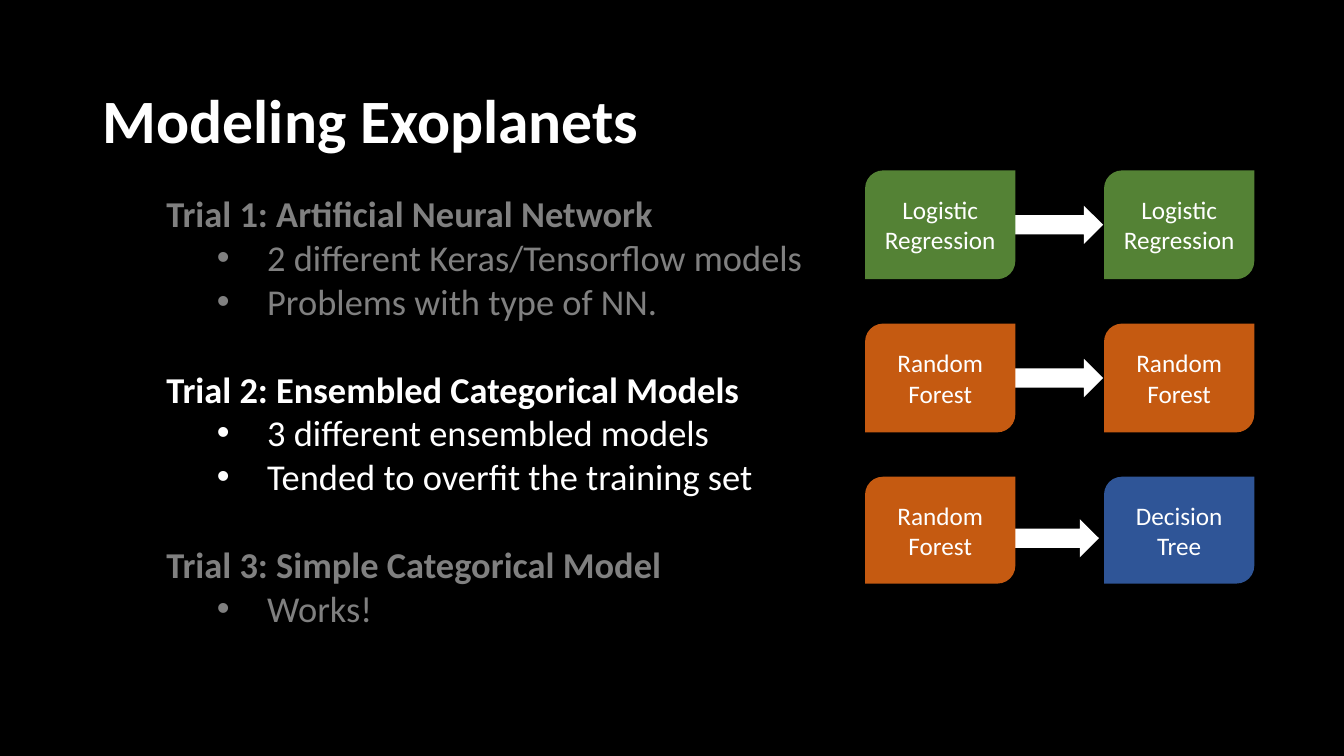
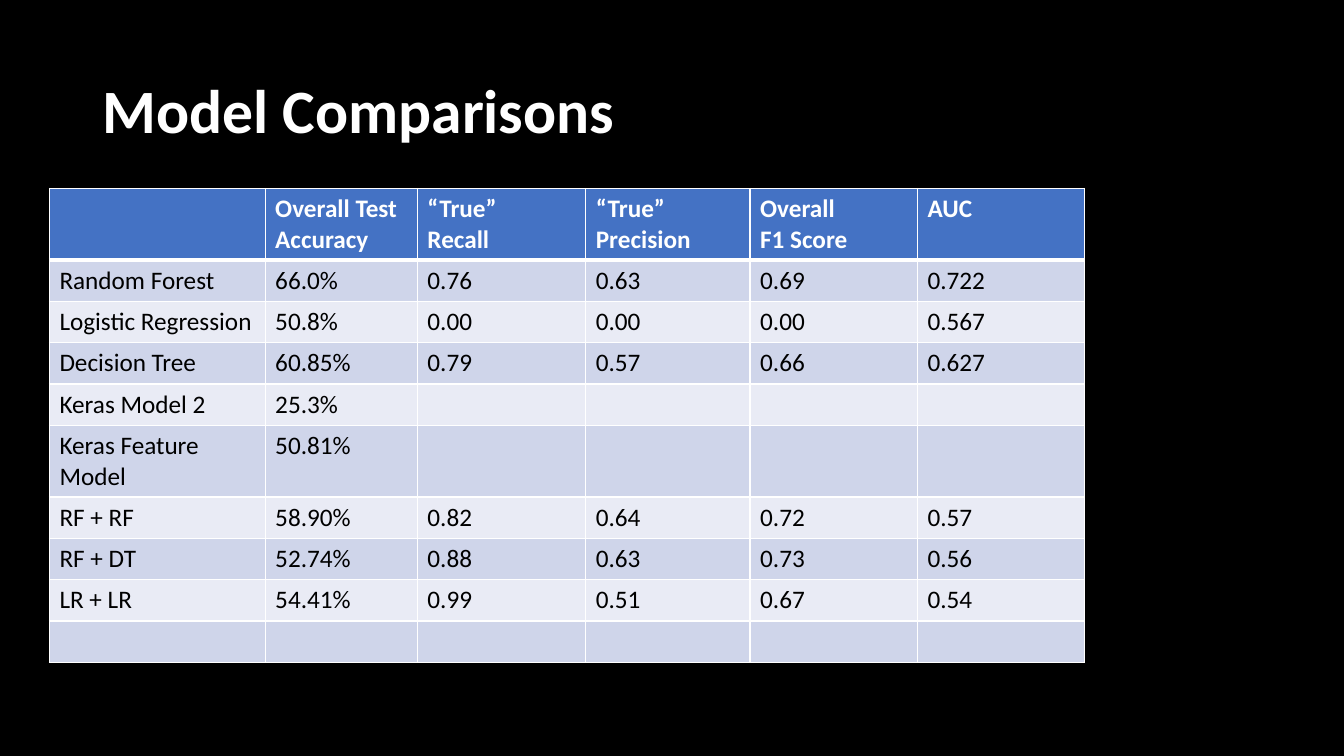
from lxml import etree
from pptx import Presentation, util as u
from pptx.dml.color import RGBColor
from pptx.enum import shapes, text
from pptx.oxml.ns import qn

BLACK = RGBColor(0, 0, 0)
WHITE = RGBColor(255, 255, 255)
GRAY = RGBColor(0x80, 0x80, 0x80)
GREEN = RGBColor(0x54, 0x82, 0x35)
ORANGE = RGBColor(0xC5, 0x5A, 0x11)
NAVY = RGBColor(0x2F, 0x55, 0x97)
BLUE = RGBColor(0x44, 0x72, 0xC4)
BANDS = [RGBColor(0xCF, 0xD5, 0xEA), RGBColor(0xE9, 0xEB, 0xF5)]
FACE = "Calibri"

TRIALS = [
    ("Trial 1: Artificial Neural Network", GRAY,
     ["2 different Keras/Tensorflow models", "Problems with type of NN."]),
    ("Trial 2: Ensembled Categorical Models", WHITE,
     ["3 different ensembled models", "Tended to overfit the training set"]),
    ("Trial 3: Simple Categorical Model", GRAY, ["Works!"]),
]
LR = ("Logistic Regression", GREEN)
RF = ("Random Forest", ORANGE)
DT = ("Decision Tree", NAVY)
PAIRS = [
    (LR, LR, 1.08, (9.85, 0.35)),
    (RF, RF, 1.08, (9.85, 0.35)),
    (RF, DT, 1.06, (9.81, 0.42)),
]
BOX_X = (8.58, 10.95)
BOX_Y, BOX_W, PITCH = 1.69, 1.49, 1.52

HEAD = ["", "Overall Test Accuracy", "“True”\nRecall", "“True”\nPrecision",
        "Overall\nF1 Score", "AUC"]
SCORES = [
    ["Random Forest", "66.0%", "0.76", "0.63", "0.69", "0.722"],
    ["Logistic Regression", "50.8%", "0.00", "0.00", "0.00", "0.567"],
    ["Decision Tree", "60.85%", "0.79", "0.57", "0.66", "0.627"],
    ["Keras Model 2", "25.3%", "", "", "", ""],
    ["Keras Feature Model", "50.81%", "", "", "", ""],
    ["RF + RF", "58.90%", "0.82", "0.64", "0.72", "0.57"],
    ["RF + DT", "52.74%", "0.88", "0.63", "0.73", "0.56"],
    ["LR + LR", "54.41%", "0.99", "0.51", "0.67", "0.54"],
    [""] * 6,
]
COLS = [2.14, 1.51, 1.67, 1.63, 1.66, 1.66]
ROW = 0.41


def place(item, x, y, w, h):
    item.left, item.top, item.width, item.height = map(u.Inches, (x, y, w, h))


def style(para, size, color, bold=False):
    font = para.font
    font.name, font.size, font.bold = FACE, u.Pt(size), bold
    font.color.rgb = color


def start(deck, layout, name, height):
    slide = deck.slides.add_slide(deck.slide_layouts[layout])
    title = slide.shapes.title
    place(title, 0.92, 0.4, 11.5, height)
    frame = title.text_frame
    frame.text = name
    frame.auto_size = text.MSO_AUTO_SIZE.NONE
    frame.vertical_anchor = text.MSO_ANCHOR.MIDDLE
    para = frame.paragraphs[0]
    para.alignment, para.line_spacing = text.PP_ALIGN.LEFT, 0.9
    style(para, 44, WHITE, True)
    return slide


def indent(para, left, hang, mark=None):
    props = para._p.get_or_add_pPr()
    props.set("marL", str(u.Inches(left)))
    props.set("indent", str(u.Inches(hang)))
    if mark:
        etree.SubElement(props, qn("a:buFont")).set("typeface", "Arial")
        etree.SubElement(props, qn("a:buChar")).set("char", mark)
    else:
        etree.SubElement(props, qn("a:buNone"))


def fill_list(body):
    place(body, 1.55, 1.85, 7.54, 4.48)
    frame = body.text_frame
    frame.auto_size = text.MSO_AUTO_SIZE.NONE
    lines = [(line, color, i, n) for n, (name, color, notes) in enumerate(TRIALS)
             for i, line in enumerate([name] + notes)]
    for line, color, i, n in lines:
        para = frame.add_paragraph() if i or n else frame.paragraphs[0]
        para.text = line
        para.level = 1 if i else 0
        para.space_before = u.Pt(31.7 if n and not i else 0)
        if i:
            indent(para, 1, -0.5, "•")
        else:
            indent(para, 0, 0)
        style(para, 26, color, not i)


def add_block(slide, kind, x, y, w, h, color):
    block = slide.shapes.add_shape(kind, *map(u.Inches, (x, y, w, h)))
    block.shadow.inherit = False
    block.fill.solid()
    block.fill.fore_color.rgb = color
    block.line.fill.background()
    return block


def draw_pairs(slide):
    kinds = shapes.MSO_SHAPE
    for n, (first, last, high, (x, drop)) in enumerate(PAIRS):
        top = BOX_Y + n * PITCH
        add_block(slide, kinds.RIGHT_ARROW, x, top + drop, 1.09, 0.38, WHITE)
        for left, (name, color) in zip(BOX_X, (first, last)):
            box = add_block(slide, kinds.ROUND_2_DIAG_RECTANGLE,
                            left, top, BOX_W, high, color)
            frame = box.text_frame
            frame.text = name
            frame.vertical_anchor = text.MSO_ANCHOR.MIDDLE
            para = frame.paragraphs[0]
            para.alignment = text.PP_ALIGN.CENTER
            style(para, 18, WHITE)


def edge(cell, side, width):
    line = etree.Element(qn("a:" + side), w=str(u.Pt(width)))
    paint = etree.SubElement(line, qn("a:solidFill"))
    etree.SubElement(paint, qn("a:srgbClr")).set("val", str(WHITE))
    return line


def draw_table(slide):
    rows = [HEAD] + SCORES
    area = map(u.Inches, (0.49, 1.87, sum(COLS), ROW * len(rows)))
    table = slide.shapes.add_table(len(rows), len(COLS), *area).table
    for col, wide in zip(table.columns, COLS):
        col.width = u.Inches(wide)
    for r, row in enumerate(rows):
        for c, words in enumerate(row):
            cell = table.cell(r, c)
            cell.text = words
            cell.fill.solid()
            cell.fill.fore_color.rgb = BANDS[(r - 1) % 2] if r else BLUE
            props = cell._tc.get_or_add_tcPr()
            widths = {"lnL": 1, "lnR": 1, "lnT": 3 if r == 1 else 1,
                      "lnB": 1 if r else 3}
            for spot, (side, width) in enumerate(widths.items()):
                props.insert(spot, edge(cell, side, width))
            for para in cell.text_frame.paragraphs:
                style(para, 18, BLACK if r else WHITE, not r)


def main():
    deck = Presentation()
    deck.slide_width, deck.slide_height = u.Inches(13.33), u.Inches(7.5)
    back = deck.slide_master.background.fill
    back.solid()
    back.fore_color.rgb = BLACK

    slide = start(deck, 1, "Modeling Exoplanets", 1.66)
    fill_list(slide.placeholders[1])
    draw_pairs(slide)

    slide = start(deck, 5, "Model Comparisons", 1.45)
    draw_table(slide)
    deck.save("out.pptx")


if __name__ == "__main__":
    main()
